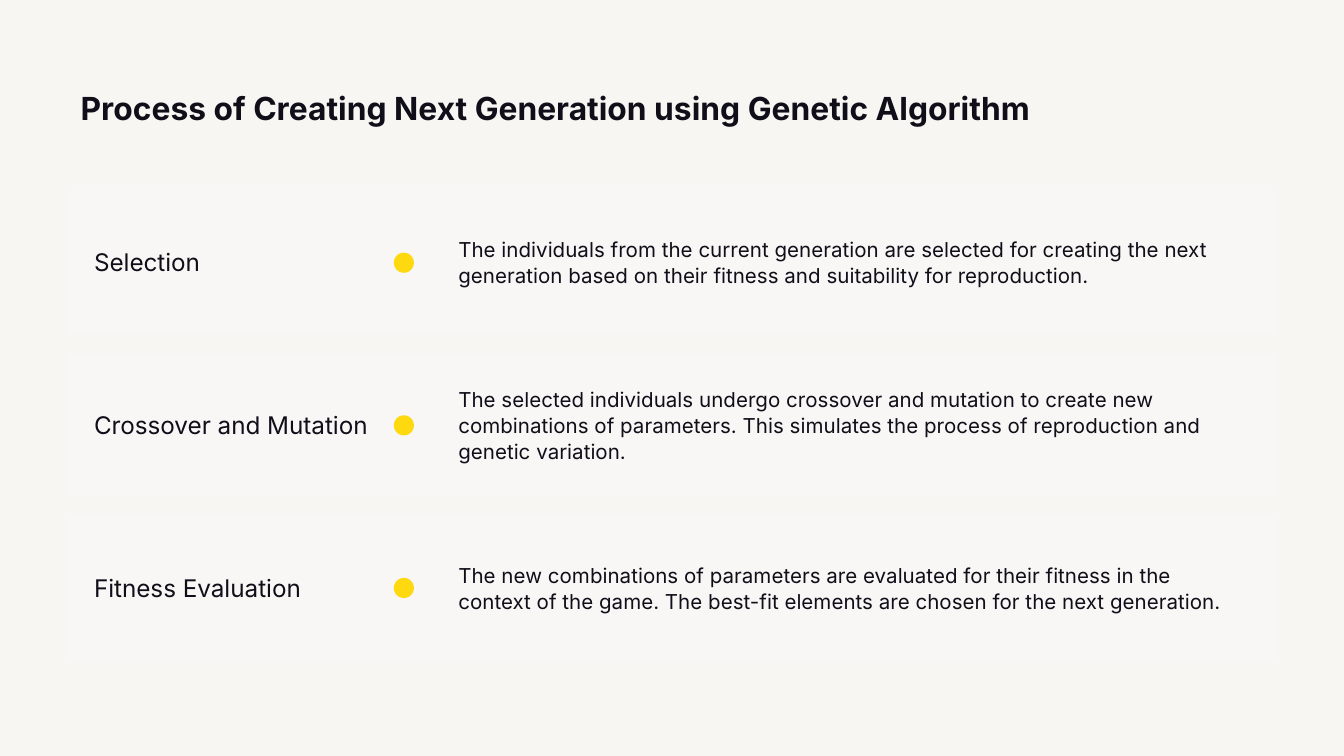
from dataclasses import dataclass

from lxml import etree
from pptx import Presentation
from pptx.dml.color import RGBColor
from pptx.enum import shapes, text
from pptx.oxml import ns
from pptx.util import Inches, Pt


@dataclass(frozen=True)
class Theme:
    font: str = "Inter"
    background: str = "F8F6F3"
    card: str = "FFFFFF"
    ink: str = "100F19"
    accent: str = "FFD90F"
    title_size: int = 17
    label_size: int = 13
    body_size: int = 11


THEME = Theme()

# Layout in inches, on a 16:9 page
PAGE_WIDTH = 10
PAGE_HEIGHT = PAGE_WIDTH * 9 / 16
LEFT, WIDTH = 0.5, 9
FIRST_TOP, ROW_HEIGHT, ROW_STEP = 1.41, 1.08, 1.21
LABEL_WIDTH = 2.34
BODY_LEFT = 3.01
DOT_LEFT, DOT_DROP, DOT = 2.93, 0.47, 0.15

STEPS = [
    ("Selection",
     "The individuals from the current generation are selected for creating "
     "the next generation based on their fitness and suitability for "
     "reproduction."),
    ("Crossover and Mutation",
     "The selected individuals undergo crossover and mutation to create new "
     "combinations of parameters. This simulates the process of reproduction "
     "and genetic variation."),
    ("Fitness Evaluation",
     "The new combinations of parameters are evaluated for their fitness in "
     "the context of the game. The best-fit elements are chosen for the next "
     "generation."),
]


def set_values(target, values):
    for name, value in values.items():
        setattr(target, name, value)


def set_solid(fill, color):
    fill.solid()
    fill.fore_color.rgb = RGBColor.from_string(color)


def set_opacity(holder, percent):
    """Add an alpha value to the colour of a solid fill element."""
    color = holder.find(ns.qn("a:solidFill")).find(ns.qn("a:srgbClr"))
    etree.SubElement(color, ns.qn("a:alpha"), val=str(percent * 1000))


def write_text(box, content, size, insets=(0.1, 0.1), bold=False, **spacing):
    frame = box.text_frame
    set_values(frame, {
        "word_wrap": True,
        "auto_size": text.MSO_AUTO_SIZE.NONE,
        "vertical_anchor": text.MSO_ANCHOR.MIDDLE,
        "margin_left": Inches(insets[0]),
        "margin_right": Inches(insets[1]),
        "margin_top": Inches(0.1),
        "margin_bottom": Inches(0.1),
    })
    para = frame.paragraphs[0]
    set_values(para, {"alignment": text.PP_ALIGN.LEFT, **spacing})
    span = para.add_run()
    span.text = content
    set_values(span.font, {"name": THEME.font, "size": Pt(size), "bold": bold})
    span.font.color.rgb = RGBColor.from_string(THEME.ink)


def add_title(page, content):
    title = page.shapes.title
    set_values(title, {"left": Inches(LEFT), "top": Inches(0.49),
                       "width": Inches(WIDTH), "height": Inches(0.62)})
    write_text(title, content, THEME.title_size, bold=True)


def add_card(page, top):
    card = page.shapes.add_shape(
        shapes.MSO_SHAPE.RECTANGLE, Inches(LEFT), Inches(top),
        Inches(WIDTH), Inches(ROW_HEIGHT))
    card.shadow.inherit = False
    set_solid(card.fill, THEME.card)
    set_solid(card.line.fill, THEME.background)
    card.line.width = Pt(1)
    properties = card.element.spPr
    set_opacity(properties, 20)
    set_opacity(properties.find(ns.qn("a:ln")), 50)


def add_label(page, top, content):
    box = page.shapes.add_textbox(Inches(LEFT), Inches(top),
                                  Inches(LABEL_WIDTH), Inches(ROW_HEIGHT))
    write_text(box, content, THEME.label_size, insets=(0.2, 0.1),
               space_after=Pt(10))


def add_description(page, top, content):
    box = page.shapes.add_textbox(Inches(BODY_LEFT), Inches(top),
                                  Inches(LEFT + WIDTH - BODY_LEFT),
                                  Inches(ROW_HEIGHT))
    write_text(box, content, THEME.body_size, insets=(0.4, 0.2),
               line_spacing=1.05, space_after=Pt(10))


def add_dot(page, top):
    dot = page.shapes.add_shape(
        shapes.MSO_SHAPE.OVAL, Inches(DOT_LEFT), Inches(top + DOT_DROP),
        Inches(DOT), Inches(DOT))
    dot.shadow.inherit = False
    set_solid(dot.fill, THEME.accent)
    dot.line.fill.background()


def main():
    deck = Presentation()
    set_values(deck, {"slide_width": Inches(PAGE_WIDTH),
                      "slide_height": Inches(PAGE_HEIGHT)})
    page = deck.slides.add_slide(deck.slide_layouts[5])
    set_solid(page.background.fill, THEME.background)

    # Heading
    add_title(page,
              "Process of Creating Next Generation using Genetic Algorithm")

    # One row per step
    for index, (label, description) in enumerate(STEPS):
        top = FIRST_TOP + index * ROW_STEP
        add_card(page, top)
        add_label(page, top, label)
        add_description(page, top, description)
        add_dot(page, top)

    deck.save("out.pptx")


if __name__ == "__main__":
    main()
